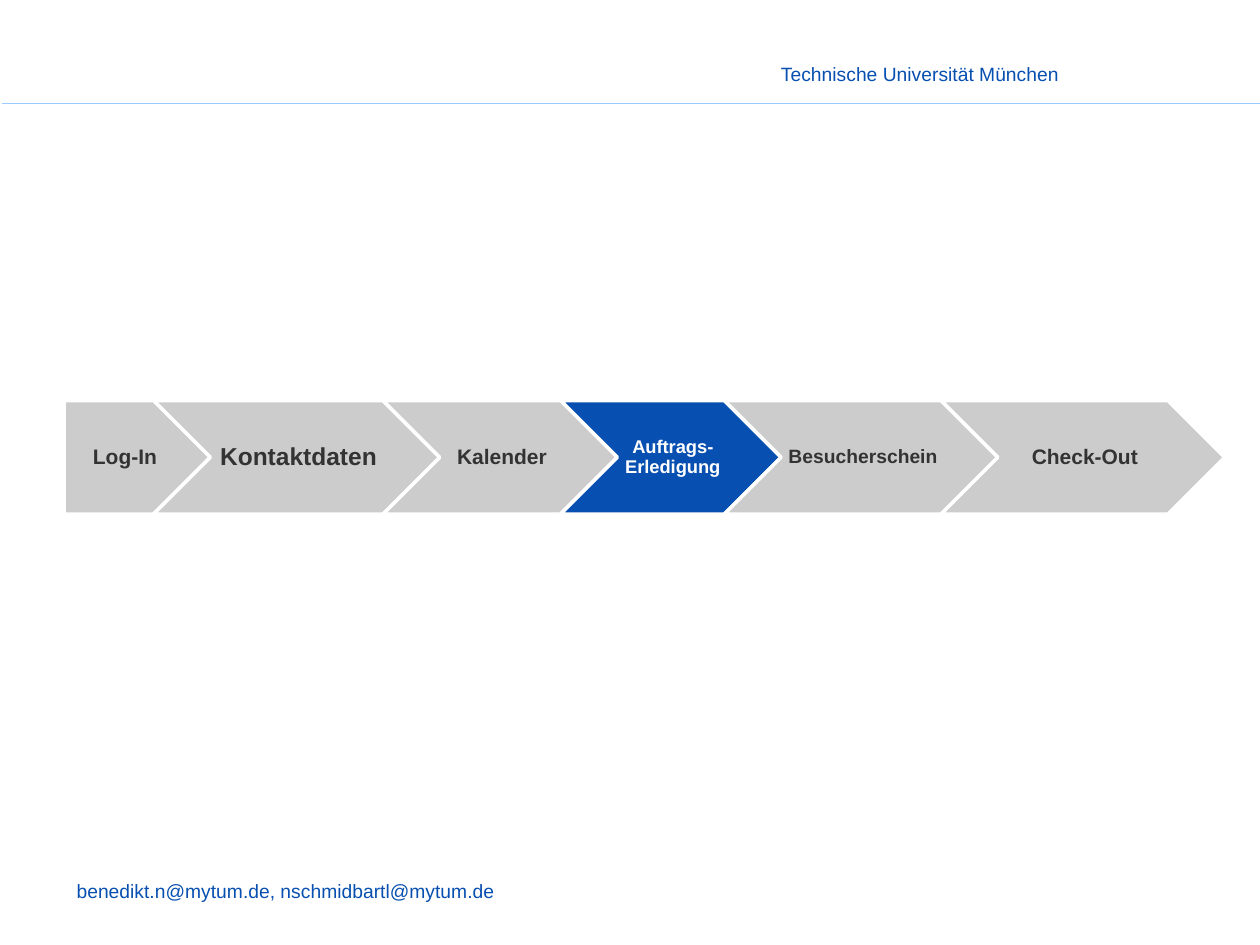
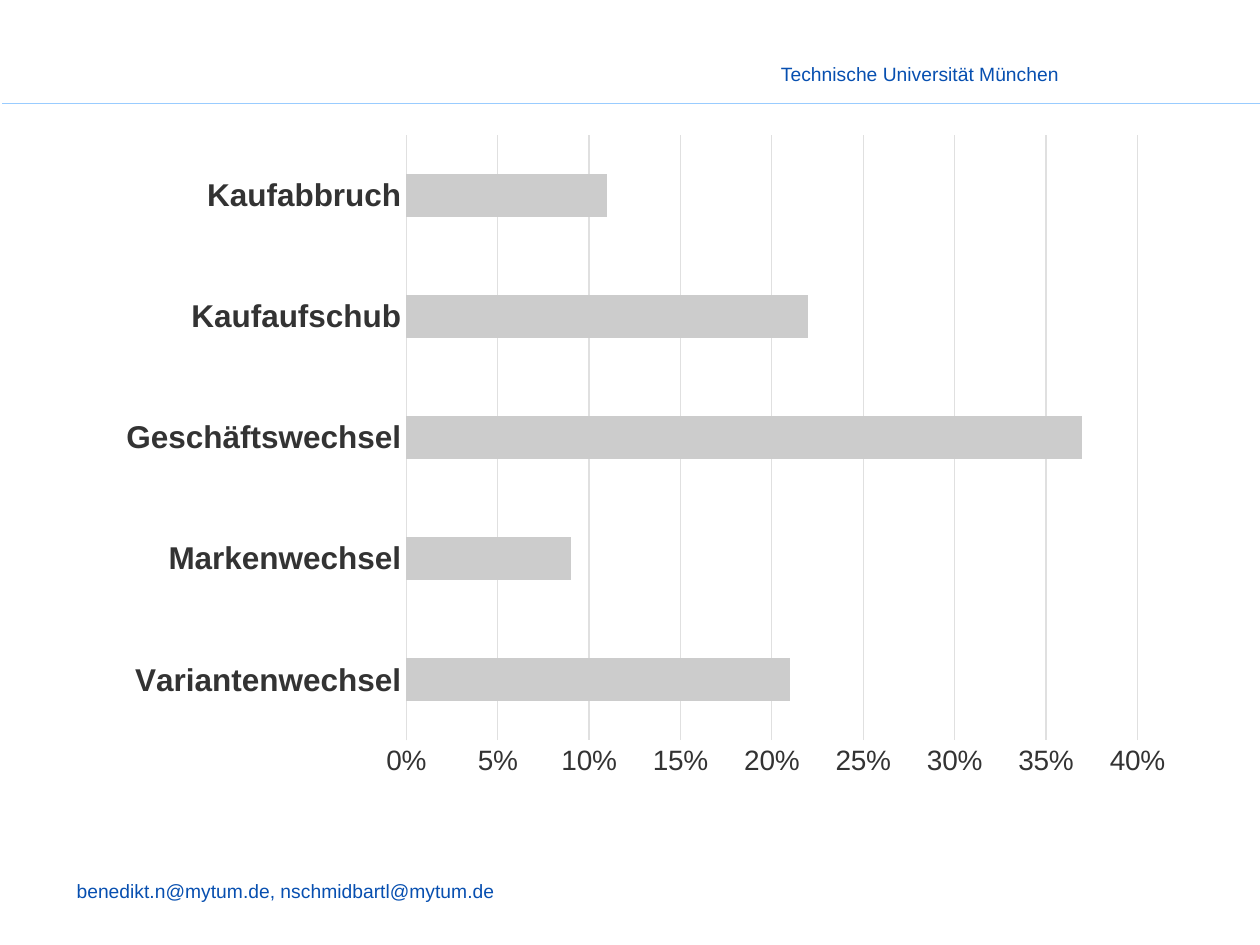
from lxml import etree
from pptx import Presentation
from pptx.chart.data import CategoryChartData
from pptx.dml.color import RGBColor
from pptx.enum.chart import XL_CHART_TYPE as ChartType, XL_TICK_MARK as TickMark
from pptx.enum.shapes import MSO_CONNECTOR as Connector, MSO_SHAPE as Shape
from pptx.enum.text import MSO_ANCHOR as Anchor, PP_ALIGN as Align
from pptx.oxml import parse_xml
from pptx.oxml.ns import nsdecls, qn
from pptx.util import Inches, Pt

FONT = "Arial"
BLUE, RULE_BLUE = "074FB0", "99CCFF"
GREY, DARK, GRID, WHITE = "CCCCCC", "333333", "E0E0E0", "FFFFFF"

UNIVERSITY = "Technische Universität München"
CONTACT = "benedikt.n@mytum.de, nschmidbartl@mytum.de"

# label, width in inches, text size in points
STEPS = [
    ("Log-In", 1.16, 12),
    ("Kontaktdaten", 2.27, 14),
    ("Kalender", 1.86, 12),
    ("Auftrags-Erledigung", 1.75, 10.5),
    ("Besucherschein", 2.17, 11),
    ("Check-Out", 2.25, 12),
]
CURRENT_STEP = "Auftrags-Erledigung"
STEP_LEFT, STEP_TOP, STEP_HEIGHT = 0.51, 3.18, 0.9
STEP_OVERLAP = STEP_HEIGHT / 2

REACTIONS = {
    "Variantenwechsel": 0.21,
    "Markenwechsel": 0.09,
    "Geschäftswechsel": 0.37,
    "Kaufaufschub": 0.22,
    "Kaufabbruch": 0.11,
}


def color(hex_string):
    return RGBColor.from_string(hex_string)


def style_font(font, size, hex_string, bold=False):
    font.name, font.size, font.bold = FONT, Pt(size), bold
    font.color.rgb = color(hex_string)


def style_line(line, hex_string, width):
    line.color.rgb = color(hex_string)
    line.width = Pt(width)


def add_run(paragraph, text, size, hex_string, bold=False):
    run = paragraph.add_run()
    run.text = text
    style_font(run.font, size, hex_string, bold)


def add_label(slide, text, left, top, width):
    box = slide.shapes.add_textbox(Inches(left), Inches(top), Inches(width), Inches(0.28))
    frame = box.text_frame
    frame.word_wrap = True
    frame.vertical_anchor = Anchor.BOTTOM
    add_run(frame.paragraphs[0], text, 11, BLUE)


def add_header_rule(slide):
    rule = slide.shapes.add_connector(
        Connector.STRAIGHT, Inches(0.02), Inches(0.82), Inches(10.02), Inches(0.82))
    style_line(rule.line, RULE_BLUE, 0.75)
    etree.SubElement(rule.element.spPr, qn("a:effectLst"))


def add_framed_slide(prs):
    """Add a slide with the shared header rule, university name and contact line."""
    slide = prs.slides.add_slide(prs.slide_layouts[6])
    add_header_rule(slide)
    add_label(slide, UNIVERSITY, 6.1, 0.45, 2.56)
    add_label(slide, CONTACT, 0.51, 6.93, 9.17)
    return slide


def add_step(slide, kind, label, left, width, size, active):
    step = slide.shapes.add_shape(
        kind, Inches(left), Inches(STEP_TOP), Inches(width), Inches(STEP_HEIGHT))
    step.shadow.inherit = False
    step.fill.solid()
    step.fill.fore_color.rgb = color(BLUE if active else GREY)
    style_line(step.line, WHITE, 2)
    frame = step.text_frame
    frame.word_wrap = True
    frame.vertical_anchor = Anchor.MIDDLE
    frame.margin_left, frame.margin_right = Inches(0.05), Inches(0.02)
    frame.margin_top = frame.margin_bottom = Inches(0.04)
    paragraph = frame.paragraphs[0]
    paragraph.alignment = Align.CENTER
    paragraph.line_spacing = 0.9
    add_run(paragraph, label, size, WHITE if active else DARK, bold=True)


def add_process(slide):
    """Chain the steps so that each one starts in the notch of the one before."""
    left = STEP_LEFT
    for index, (label, width, size) in enumerate(STEPS):
        kind = Shape.CHEVRON if index else Shape.PENTAGON
        add_step(slide, kind, label, left, width, size, label == CURRENT_STEP)
        left += width - STEP_OVERLAP


def set_plot_area(chart, x, y, width, height):
    """Fix the inner plot area, in fractions of the chart."""
    places = "".join(f'<c:{tag} val="{value}"/>' for tag, value in
                     (("x", x), ("y", y), ("w", width), ("h", height)))
    layout = parse_xml(
        f'<c:layout {nsdecls("c")}><c:manualLayout><c:layoutTarget val="inner"/>'
        f'<c:xMode val="edge"/><c:yMode val="edge"/>{places}</c:manualLayout></c:layout>')
    plot_area = chart.element.find(".//" + qn("c:plotArea"))
    for automatic in plot_area.findall(qn("c:layout")):
        plot_area.remove(automatic)
    plot_area.insert(0, layout)


def style_axis(axis, size, bold=False):
    axis.major_tick_mark = axis.minor_tick_mark = TickMark.NONE
    style_font(axis.tick_labels.font, size, DARK, bold)


def add_reaction_chart(slide):
    data = CategoryChartData(number_format="0%")
    data.categories = list(REACTIONS)
    data.add_series("Series 1", list(REACTIONS.values()))
    chart = slide.shapes.add_chart(
        ChartType.BAR_CLUSTERED, Inches(0.67), Inches(0.92),
        Inches(8.66), Inches(5.43), data).chart
    chart.has_legend = chart.has_title = False
    style_font(chart.font, 10, DARK)
    set_plot_area(chart, 0.295, 0.028, 0.67, 0.885)

    plot = chart.plots[0]
    plot.gap_width = 182
    plot.vary_by_categories = False
    bars = plot.series[0].format.fill
    bars.solid()
    bars.fore_color.rgb = color(GREY)

    reactions = chart.category_axis
    style_axis(reactions, 18, bold=True)
    reactions.has_major_gridlines = False
    style_line(reactions.format.line, GRID, 0.75)

    shares = chart.value_axis
    style_axis(shares, 16)
    shares.minimum_scale, shares.maximum_scale, shares.major_unit = 0, 0.4, 0.05
    shares.tick_labels.number_format = "0%"
    shares.tick_labels.number_format_is_linked = False
    shares.format.line.fill.background()
    style_line(shares.major_gridlines.format.line, GRID, 0.75)


def main():
    prs = Presentation()
    prs.slide_width, prs.slide_height = Inches(10), Inches(7.5)
    add_process(add_framed_slide(prs))
    add_reaction_chart(add_framed_slide(prs))
    prs.save("out.pptx")


if __name__ == "__main__":
    main()
